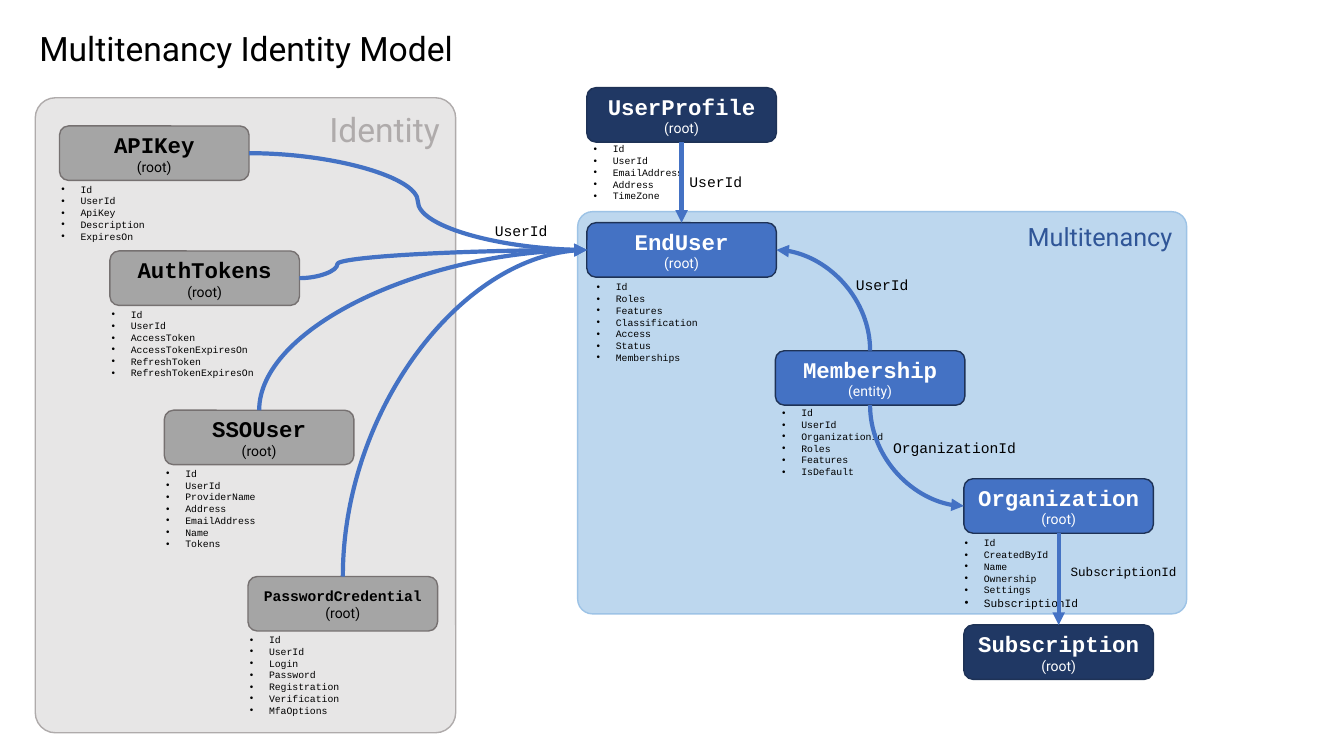
from lxml import etree
from pptx import Presentation
from pptx.dml.color import RGBColor
from pptx.enum.shapes import MSO_CONNECTOR, MSO_SHAPE
from pptx.enum.text import MSO_ANCHOR, MSO_AUTO_SIZE, PP_ALIGN
from pptx.oxml.ns import qn
from pptx.util import Pt

PX = 9144  # 100 px to the inch
MONO, SANS = "Courier New", "Roboto"
BLACK, WHITE, BLUE, NAVY, GREY = "000000", "FFFFFF", "4472C4", "203864", "A5A5A5"
BOX_W, BOX_H = 188, 54
TOP, LEFT, BOTTOM, RIGHT = range(4)  # connection sites of a rounded rectangle

# name, role, fill, box left and top, list offset from the box, fields
ENTITIES = [
    ("EndUser", "root", BLUE, 582, 221, (0, 53),
     "Id UserId Roles Features Classification Access Status Memberships".replace("UserId ", "")),
    ("Membership", "entity", BLUE, 769, 348, (-3, 51),
     "Id UserId OrganizationId Roles Features IsDefault"),
    ("Organization", "root", BLUE, 956, 475, (-9, 53),
     "Id CreatedById Name Ownership Settings SubscriptionId"),
    ("UserProfile", "root", NAVY, 582, 87, (-3, 50),
     "Id UserId EmailAddress Address TimeZone"),
    ("Subscription", "root", NAVY, 956, 620, None, ""),
    ("PasswordCredential", "root", GREY, 246, 572, (-8, 52),
     "Id UserId Login Password Registration Verification MfaOptions"),
    ("APIKey", "root", GREY, 59, 125, (-8, 52),
     "Id UserId ApiKey Description ExpiresOn"),
    ("AuthTokens", "root", GREY, 109, 249, (-8, 52),
     "Id UserId AccessToken AccessTokenExpiresOn RefreshToken RefreshTokenExpiresOn"),
    ("SSOUser", "root", GREY, 163, 407, (-8, 52),
     "Id UserId ProviderName Address EmailAddress Name Tokens"),
]

# from, site, to, site, rotation, bend position (None for a quarter curve)
RELATIONS = [
    ("Membership", TOP, "EndUser", RIGHT, 270, None),
    ("Membership", BOTTOM, "Organization", LEFT, 270, None),
    ("UserProfile", BOTTOM, "EndUser", TOP, 90, 50000),
    ("Organization", BOTTOM, "Subscription", TOP, 90, 50000),
    ("PasswordCredential", TOP, "EndUser", LEFT, 90, None),
    ("AuthTokens", RIGHT, "EndUser", LEFT, 0, 13200),
    ("APIKey", RIGHT, "EndUser", LEFT, 0, 50000),
    ("SSOUser", TOP, "EndUser", LEFT, 90, None),
]

LABELS = [
    ("UserId", 839, 269, 73, 10.5),
    ("UserId", 674, 167, 73, 10.5),
    ("UserId", 481, 215, 73, 10.5),
    ("OrganizationId", 876, 430, 143, 10.5),
    ("SubscriptionId", 1052, 554, 126, 9),
]


def rgb(color):
    return RGBColor.from_string(color)


def px(*lengths):
    return [n * PX for n in lengths]


def add_run(p, text, size, font, color, bold=False):
    r = p.add_run()
    r.text = text
    r.font.size = Pt(size)
    r.font.name = font
    r.font.bold = bold
    r.font.color.rgb = rgb(color)


def add_round_rect(slide, box, fill, line):
    sp = slide.shapes.add_shape(MSO_SHAPE.ROUNDED_RECTANGLE, *px(*box))
    sp.shadow.inherit = False
    sp.fill.solid()
    sp.fill.fore_color.rgb = rgb(fill)
    sp.line.color.rgb = rgb(line)
    sp.line.width = Pt(1)
    return sp


def add_panel(slide, text, box, corner, fill, line, size, color):
    sp = add_round_rect(slide, box, fill, line)
    sp.adjustments[0] = corner
    sp.text_frame.vertical_anchor = MSO_ANCHOR.TOP
    p = sp.text_frame.paragraphs[0]
    p.alignment = PP_ALIGN.RIGHT
    add_run(p, text, size, SANS, color)


def add_entity_box(slide, name, role, fill, x, y):
    is_identity = fill == GREY
    color = BLACK if is_identity else WHITE
    sp = add_round_rect(slide, (x, y, BOX_W, BOX_H), fill,
                        "767171" if is_identity else "1E3256")
    tf = sp.text_frame
    tf.vertical_anchor = MSO_ANCHOR.MIDDLE
    title, subtitle = tf.paragraphs[0], tf.add_paragraph()
    title.alignment = subtitle.alignment = PP_ALIGN.CENTER
    add_run(title, name, 10.5 if len(name) > 12 else 16, MONO, color, bold=True)
    add_run(subtitle, f"({role})", 10, SANS, color)
    return sp


def fit_unwrapped(tf):
    tf.word_wrap = False
    tf.auto_size = MSO_AUTO_SIZE.SHAPE_TO_FIT_TEXT
    tf.vertical_anchor = MSO_ANCHOR.TOP


def add_text_box(slide, x, y, w, h):
    tf = slide.shapes.add_textbox(*px(x, y, w, h)).text_frame
    fit_unwrapped(tf)
    return tf


def add_bullet(p):
    pPr = p._p.get_or_add_pPr()
    pPr.set("marL", str(19 * PX))
    pPr.set("indent", str(-19 * PX))
    etree.SubElement(pPr, qn("a:buFont")).set("typeface", "Arial")
    etree.SubElement(pPr, qn("a:buChar")).set("char", "•")


def add_field_list(slide, x, y, fields):
    sizes = [8 if field == "SubscriptionId" else 7 for field in fields]
    width = 40 + round(max(len(f) * s * 0.84 for f, s in zip(fields, sizes)))
    tf = add_text_box(slide, x, y, width, 9 + 12 * len(fields))
    for i, (field, size) in enumerate(zip(fields, sizes)):
        p = tf.add_paragraph() if i else tf.paragraphs[0]
        add_bullet(p)
        add_run(p, field, size, MONO, BLACK)


def add_relation(slide, start, start_site, end, end_site, rotation, bend):
    """Glue a curved arrow to two boxes, turning its frame to leave the right way."""
    c = slide.shapes.add_connector(MSO_CONNECTOR.CURVE, 0, 0, 0, 0)
    c.begin_connect(start, start_site)
    c.end_connect(end, end_site)
    dx, dy = c.end_x - c.begin_x, c.end_y - c.begin_y
    mid_x, mid_y = c.begin_x + dx // 2, c.begin_y + dy // 2
    run, rise = {0: (dx, dy), 90: (dy, -dx), 270: (-dy, dx)}[rotation]
    c.width, c.height = abs(run), abs(rise)
    c.left, c.top = mid_x - c.width // 2, mid_y - c.height // 2

    spPr = c._element.spPr
    xfrm = spPr.find(qn("a:xfrm"))
    xfrm.set("rot", str(rotation * 60000))
    xfrm.set("flipH", str(int(run < 0)))
    xfrm.set("flipV", str(int(rise < 0)))
    geom = spPr.find(qn("a:prstGeom"))
    if bend is None:
        geom.set("prst", "curvedConnector2")
    else:
        guide = etree.SubElement(geom.find(qn("a:avLst")), qn("a:gd"))
        guide.set("name", "adj1")
        guide.set("fmla", f"val {bend}")

    c.line.color.rgb = rgb(BLUE)
    c.line.width = Pt(3)
    etree.SubElement(spPr.find(qn("a:ln")), qn("a:tailEnd")).set("type", "triangle")
    etree.SubElement(spPr, qn("a:effectLst"))


def set_title(slide, text):
    title = slide.shapes.title
    title.left, title.top, title.width, title.height = px(29, 23, 435, 50)
    fit_unwrapped(title.text_frame)
    p = title.text_frame.paragraphs[0]
    p.alignment = PP_ALIGN.LEFT
    add_run(p, text, 24, SANS, BLACK)


def main():
    prs = Presentation()
    prs.slide_width, prs.slide_height = px(1333, 750)
    slide = prs.slides.add_slide(prs.slide_layouts[5])
    set_title(slide, "Multitenancy Identity Model")
    add_panel(slide, "Multitenancy", (573, 210, 604, 399), 0.037,
              "BDD7EE", "9DC3E6", 18, "2F5597")
    add_panel(slide, "Identity", (35, 97, 417, 630), 0.048,
              "E7E6E6", "AFABAB", 24, "AFABAB")
    boxes = {}
    for name, role, fill, x, y, offset, fields in ENTITIES:
        boxes[name] = add_entity_box(slide, name, role, fill, x, y)
        if offset:
            add_field_list(slide, x + offset[0], y + offset[1], fields.split())
    for start, start_site, end, end_site, rotation, bend in RELATIONS:
        add_relation(slide, boxes[start], start_site, boxes[end], end_site, rotation, bend)
    for text, x, y, w, size in LABELS:
        tf = add_text_box(slide, x, y, w, 28 if size > 9 else 25)
        add_run(tf.paragraphs[0], text, size, MONO, BLACK)
    prs.save("out.pptx")


if __name__ == "__main__":
    main()
